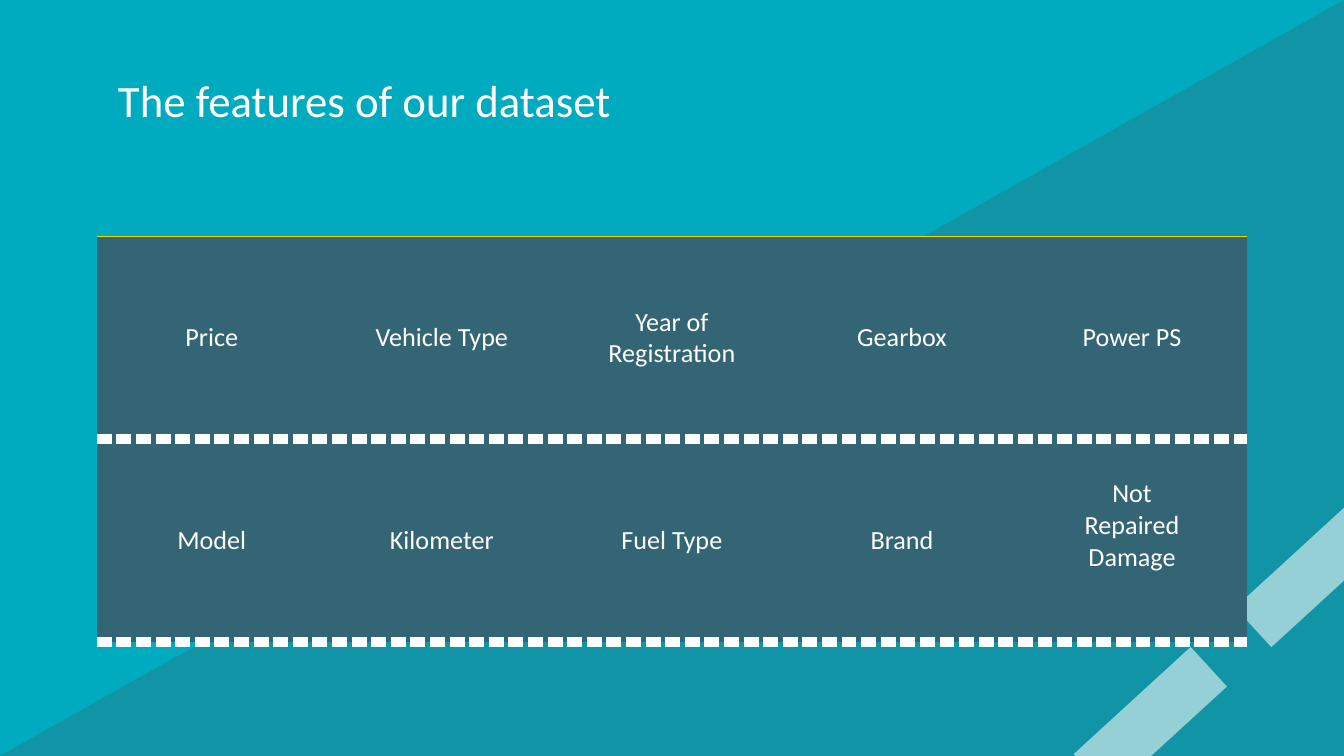
from dataclasses import dataclass

from lxml import etree
from pptx import Presentation
from pptx.dml.color import RGBColor
from pptx.enum import shapes, text
from pptx.oxml import ns
from pptx.util import Inches, Pt

HUES = {"sea": "00ABBF", "slate": "336574", "white": "FFFFFF", "gold": "F4D000"}
FONT = "Calibri"
WIDE = 10
HIGH = WIDE * 9 / 16


@dataclass
class Deco:
    """A translucent shape behind the content."""
    kind: shapes.MSO_SHAPE
    left: float
    top: float
    width: float
    height: float
    hue: str
    alpha: int
    turn: float = 0
    flip: bool = False


@dataclass
class Edge:
    """A cell border; a width of zero hides it."""
    side: str
    hue: str = "white"
    width: float = 0
    dash: str = "solid"


@dataclass
class Item:
    """A cell label with its bottom margin."""
    words: str
    foot: float = 0.06


DECOS = [
    Deco(shapes.MSO_SHAPE.RIGHT_TRIANGLE, 0, 0, WIDE, HIGH, "slate", 32, flip=True),
    Deco(shapes.MSO_SHAPE.RECTANGLE, 7.97, 5.16, 1.18, 0.4, "white", 56, 317.5),
    Deco(shapes.MSO_SHAPE.RECTANGLE, 9.17, 4.07, 1.18, 0.4, "white", 56, 317.5),
]
ROWS = [
    [Item("Price"), Item("Vehicle Type"), Item("Year of\nRegistration"),
     Item("Gearbox"), Item("Power PS")],
    [Item("Model"), Item("Kilometer"), Item("Fuel Type"),
     Item("Brand"), Item("Not\nRepaired\nDamage", 0.29)],
]
SIDES = [Edge("lnL"), Edge("lnR")]
TOPS = [Edge("lnT", "gold", 0.75), Edge("lnT", "white", 6, "dash")]
BASE = Edge("lnB", "white", 6, "dash")


def tint(name: str) -> RGBColor:
    """Return a named colour."""
    return RGBColor.from_string(HUES[name])


def style(frame, size: float, align: text.PP_ALIGN) -> None:
    """Format every run in a text frame."""
    for para in frame.paragraphs:
        para.alignment = align
        for run in para.runs:
            run.font.name = FONT
            run.font.size = Pt(size)
            run.font.color.rgb = tint("white")


def draw_deco(slide, deco: Deco) -> None:
    """Draw one translucent shape."""
    box = map(Inches, (deco.left, deco.top, deco.width, deco.height))
    shape = slide.shapes.add_shape(deco.kind, *box)
    shape.shadow.inherit = False
    shape.rotation = deco.turn
    shape.fill.solid()
    shape.fill.fore_color.rgb = tint(deco.hue)
    shape.line.fill.background()
    props = shape._element.spPr
    color = props.find(ns.qn("a:solidFill")).find(ns.qn("a:srgbClr"))
    etree.SubElement(color, ns.qn("a:alpha"), val=str(deco.alpha * 1000))
    if deco.flip:
        props.find(ns.qn("a:xfrm")).set("flipH", "1")


def draw_edge(cell, edge: Edge) -> None:
    """Add one border to a cell."""
    props = cell._tc.get_or_add_tcPr()
    line = etree.SubElement(props, ns.qn(f"a:{edge.side}"), w=str(Pt(edge.width)))
    if not edge.width:
        etree.SubElement(line, ns.qn("a:noFill"))
        return
    fill = etree.SubElement(line, ns.qn("a:solidFill"))
    etree.SubElement(fill, ns.qn("a:srgbClr"), val=HUES[edge.hue])
    etree.SubElement(line, ns.qn("a:prstDash"), val=edge.dash)


def draw_title(slide, words: str) -> None:
    """Draw the heading."""
    box = slide.shapes.add_textbox(Inches(0.78), Inches(0.43), Inches(8.44), Inches(0.63))
    frame = box.text_frame
    frame.word_wrap = True
    frame.vertical_anchor = text.MSO_ANCHOR.MIDDLE
    frame.margin_left = frame.margin_right = Inches(0.1)
    frame.margin_top = frame.margin_bottom = Inches(0.1)
    frame.text = words
    style(frame, 24, text.PP_ALIGN.LEFT)


def draw_cell(cell, item: Item, top: Edge) -> None:
    """Fill, border and label one cell."""
    for edge in [*SIDES, top, BASE]:
        draw_edge(cell, edge)
    cell.fill.solid()
    cell.fill.fore_color.rgb = tint("slate")
    cell.vertical_anchor = text.MSO_ANCHOR.MIDDLE
    cell.margin_left = cell.margin_right = Inches(0.07)
    cell.margin_top = Inches(0.06)
    cell.margin_bottom = Inches(item.foot)
    cell.text_frame.text = item.words
    style(cell.text_frame, 14, text.PP_ALIGN.CENTER)


def draw_table(slide) -> None:
    """Draw the grid of features."""
    count = len(ROWS[0])
    wide, high = Inches(8.56) // count, Inches(1.51)
    table = slide.shapes.add_table(
        len(ROWS), count, Inches(0.72), Inches(1.76), wide * count, high * len(ROWS)
    ).table
    table.first_row = table.horz_banding = False
    for col in table.columns:
        col.width = wide
    for r, (row, top) in enumerate(zip(ROWS, TOPS)):
        table.rows[r].height = high
        for c, item in enumerate(row):
            draw_cell(table.cell(r, c), item, top)


def main() -> None:
    """Build and save the slide."""
    deck = Presentation()
    deck.slide_width, deck.slide_height = Inches(WIDE), Inches(HIGH)
    slide = deck.slides.add_slide(deck.slide_layouts[6])
    slide.background.fill.solid()
    slide.background.fill.fore_color.rgb = tint("sea")
    for deco in DECOS:
        draw_deco(slide, deco)
    draw_title(slide, "The features of our dataset")
    draw_table(slide)
    deck.save("out.pptx")


if __name__ == "__main__":
    main()
